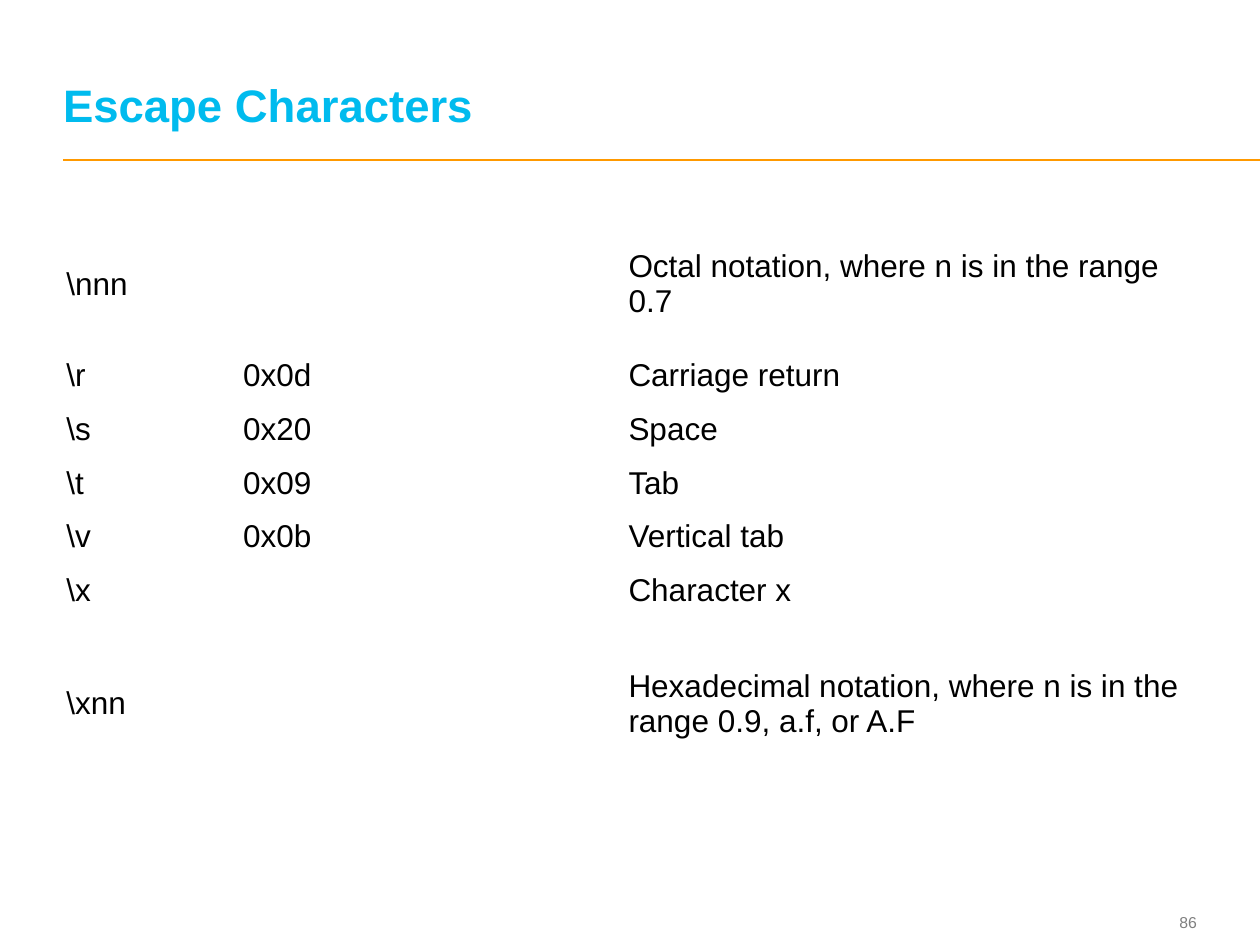
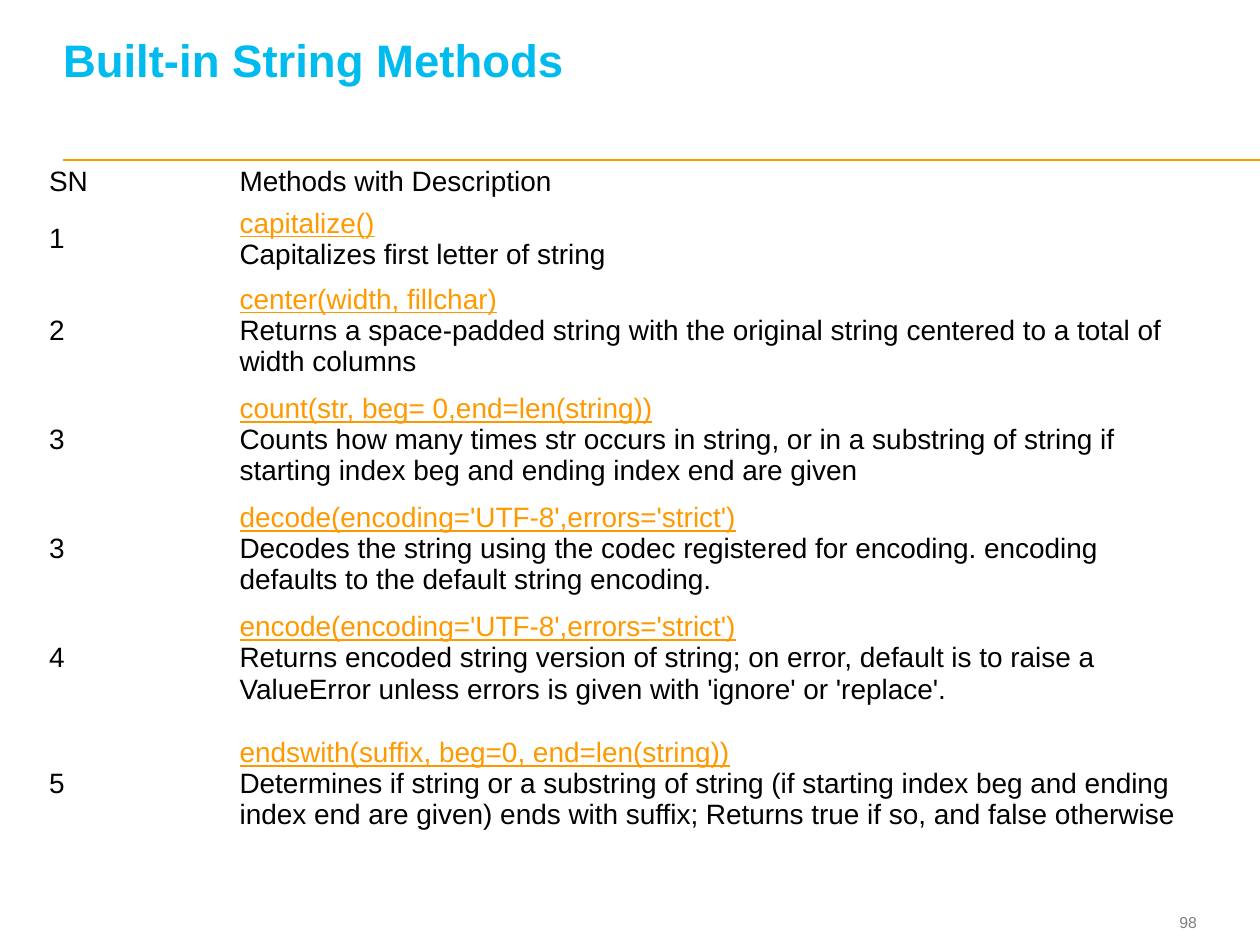
from dataclasses import dataclass

from lxml import etree
from pptx import Presentation
from pptx.dml.color import RGBColor
from pptx.enum.shapes import MSO_CONNECTOR
from pptx.enum.text import MSO_ANCHOR, MSO_AUTO_SIZE, PP_ALIGN
from pptx.oxml.ns import qn
from pptx.util import Cm, Pt

MIDDLE, BOTTOM = MSO_ANCHOR.MIDDLE, MSO_ANCHOR.BOTTOM
LEFT, RIGHT = PP_ALIGN.LEFT, PP_ALIGN.RIGHT
STRAIGHT = MSO_CONNECTOR.STRAIGHT
NO_FIT = MSO_AUTO_SIZE.NONE
TITLE_ONLY = 5
WIDTH, HEIGHT = 25.4, 19.05


@dataclass(frozen=True)
class Theme:
    face: str = "Arial"
    blue: str = "00BBEE"
    orange: str = "FF9900"
    black: str = "000000"
    gray: str = "7F7F7F"
    head: int = 26
    large: int = 18
    body: int = 16
    small: int = 9


def apply(target, values):
    for name, value in values.items():
        setattr(target, name, value)


def pads(side, top):
    return {"margin_left": Cm(side), "margin_right": Cm(side),
            "margin_top": Cm(top), "margin_bottom": Cm(top)}


class Deck:
    def __init__(self, theme):
        self.theme = theme
        self.show = Presentation()
        apply(self.show, {"slide_width": Cm(WIDTH), "slide_height": Cm(HEIGHT)})

    def start(self, title, page, lift=0):
        """Add a slide with its shared parts; lift raises the title, in points."""
        self.slide = self.show.slides.add_slide(self.show.slide_layouts[TITLE_ONLY])
        self.rule()
        self.number(page)
        self.title(title, lift)

    def add_text(self, par, text, size, color, **extra):
        run = par.add_run()
        run.text = text
        apply(run.font, {"name": self.theme.face, "size": Pt(size), **extra})
        run.font.color.rgb = RGBColor.from_string(color)

    def rule(self):
        line = self.slide.shapes.add_connector(
            STRAIGHT, Cm(1.27), Cm(3.23), Cm(WIDTH), Cm(3.23))
        line.line.color.rgb = RGBColor.from_string(self.theme.orange)
        line.line.width = Pt(1)
        etree.SubElement(line._element.spPr, qn("a:effectLst"))

    def number(self, page):
        box = self.slide.shapes.add_textbox(Cm(22.63), Cm(18.24), Cm(1.5), Cm(0.69))
        frame = box.text_frame
        apply(frame, {**pads(0, 0), "word_wrap": True, "vertical_anchor": MIDDLE})
        par = frame.paragraphs[0]
        par.alignment = RIGHT
        self.add_text(par, str(page), self.theme.small, self.theme.gray)

    def title(self, text, lift):
        box = self.slide.shapes.title
        apply(box, {"left": Cm(1.27), "top": Cm(0.48),
                    "width": Cm(22.78), "height": Cm(2.18)})
        frame = box.text_frame
        apply(frame, {**pads(0, 0), "margin_bottom": Pt(lift), "word_wrap": True,
                      "auto_size": NO_FIT, "vertical_anchor": BOTTOM})
        par = frame.paragraphs[0]
        apply(par, {"alignment": LEFT, "line_spacing": Pt(self.theme.head)})
        self.add_text(par, text, self.theme.head, self.theme.blue, bold=True)

    def table(self, left, top, cols, rows, data, size, pad):
        """Draw a plain table; a (call, text) pair puts the call on its own line."""
        grid = self.slide.shapes.add_table(
            len(rows), len(cols), Cm(left), Cm(top),
            Cm(sum(cols)), Cm(sum(rows))).table
        apply(grid, {"first_row": False, "horz_banding": False})
        for col, width in zip(grid.columns, cols):
            col.width = Cm(width)
        for row, height, items in zip(grid.rows, rows, data):
            row.height = Cm(height)
            for cell, item in zip(row.cells, items):
                cell.fill.background()
                apply(cell, {**pads(*pad), "vertical_anchor": MIDDLE})
                self.fill(cell.text_frame.paragraphs[0], item, size)

    def fill(self, par, item, size):
        if isinstance(item, tuple):
            call, item = item
            self.add_text(par, call, size, self.theme.orange, underline=True)
            par.add_line_break()
        if item:
            self.add_text(par, item, size, self.theme.black)
        else:
            par.font.size = Pt(size)


CODES = [
    (r"\nnn", "", "Octal notation, where n is in the range 0.7"),
    (r"\r", "0x0d", "Carriage return"),
    (r"\s", "0x20", "Space"),
    (r"\t", "0x09", "Tab"),
    (r"\v", "0x0b", "Vertical tab"),
    (r"\x", "", "Character x"),
    (r"\xnn", "", "Hexadecimal notation, where n is in the range 0.9, a.f, or A.F"),
]

CALLS = [
    ("SN", "Methods with Description"),
    ("1", ("capitalize()", "Capitalizes first letter of string")),
    ("2", ("center(width, fillchar)",
           "Returns a space-padded string with the original string centered "
           "to a total of width columns")),
    ("3", ("count(str, beg= 0,end=len(string))",
           "Counts how many times str occurs in string, or in a substring of "
           "string if starting index beg and ending index end are given")),
    ("3", ("decode(encoding='UTF-8',errors='strict')",
           "Decodes the string using the codec registered for encoding. "
           "encoding defaults to the default string encoding.")),
    ("4", ("encode(encoding='UTF-8',errors='strict')",
           "Returns encoded string version of string; on error, default is to "
           "raise a ValueError unless errors is given with 'ignore' or 'replace'.")),
    ("5", ("endswith(suffix, beg=0, end=len(string))",
           "Determines if string or a substring of string (if starting index "
           "beg and ending index end are given) ends with suffix; Returns true "
           "if so, and false otherwise")),
]


def main():
    theme = Theme()
    deck = Deck(theme)

    deck.start("Escape Characters", 86)
    deck.table(1.09, 4.42, [3.56, 7.77, 11.73], [2.62, *[1.08] * 5, 3.5],
               CODES, theme.large, (0.25, 0.13))

    deck.start("Built-in String Methods", 98, lift=theme.head)
    deck.table(0.91, 3.28, [3.84, 19.28], [0.79, 1.5, *[2.2] * 4, 2.87],
               CALLS, theme.body, (0.08, 0.05))

    deck.show.save("out.pptx")


if __name__ == "__main__":
    main()
